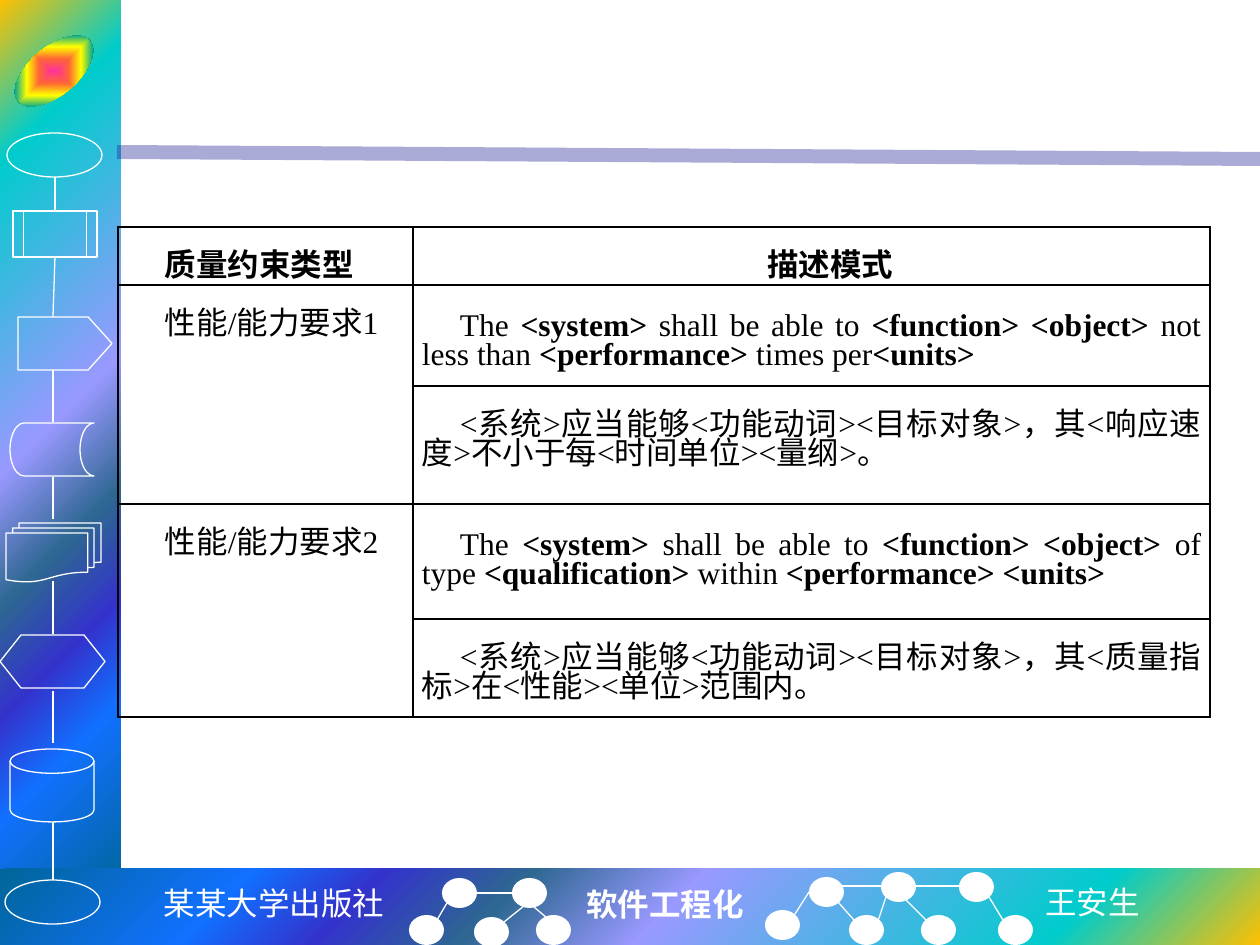
from pptx import Presentation
from pptx.dml.color import RGBColor
from pptx.enum.shapes import MSO_CONNECTOR, MSO_SHAPE
from pptx.enum.text import MSO_AUTO_SIZE, PP_ALIGN
from pptx.oxml import parse_xml
from pptx.oxml.ns import nsdecls
from pptx.util import Emu, Pt

PX = 914400 / 126
NS = nsdecls("a")
HUES = {"white": "FFFFFF", "black": "000000", "band": "262699"}
SPECTRUM = {0: "FFC000", 16: "00CCCC", 47: "9999FF", 60: "2E6792",
            71: "3333CC", 81: "1170FF", 100: "006699"}
RAINBOW = {0: "FF3399", 25: "FF6633", 50: "FFFF00", 75: "01A78F", 100: "3366FF"}
SERIF, SANS, MONO = "Times New Roman", "Noto Sans CJK SC", "DejaVu Sans Mono"


def blend(shape, stops, kind, focus):
    """Fill a shape with a path gradient around a focus (l, t, r, b in percent)."""
    marks = "".join(f'<a:gs pos="{p * 1000}"><a:srgbClr val="{c}"/></a:gs>'
                    for p, c in stops.items())
    sides = " ".join(f'{k}="{v * 1000}"' for k, v in zip("ltrb", focus))
    grad = parse_xml(f'<a:gradFill {NS} rotWithShape="1"><a:gsLst>{marks}</a:gsLst>'
                     f'<a:path path="{kind}"><a:fillToRect {sides}/></a:path></a:gradFill>')
    shape._element.spPr.find(".//{*}prstGeom").addnext(grad)
    shape.line.fill.background()
    shape.shadow.inherit = False


def add_run(para, text, face, hue, bold=False):
    run = para.add_run()
    run.text = text
    run.font.name, run.font.size, run.font.bold = face, Pt(18), bold
    run.font.color.rgb = RGBColor.from_string(HUES[hue])
    run._r.get_or_add_rPr().append(parse_xml(f'<a:ea {NS} typeface="{SANS}"/>'))


deck = Presentation()
deck.slide_width, deck.slide_height = Emu(9144000), Emu(6858000)
slide = deck.slides.add_slide(deck.slide_layouts[6])
shapes = slide.shapes
white = RGBColor.from_string(HUES["white"])

# Side bar and foot bar
for box, focus in [((0, 0, 121, 893), (0, 0, 100, 100)),
                   ((0, 869, 1260, 76), (100, 100, 0, 0))]:
    bar = shapes.add_shape(MSO_SHAPE.RECTANGLE, *[Emu(int(v * PX)) for v in box])
    blend(bar, SPECTRUM, "circle", focus)

# Plain badge
badge = shapes.add_shape(MSO_SHAPE.OVAL, *[Emu(int(v * PX)) for v in (7, 47, 94, 48)])
blend(badge, RAINBOW, "shape", (50, 50, 50, 50))
badge.rotation = -40

# Flowchart outlines down the side
chain = [
    (MSO_SHAPE.OVAL, 7, 133, 95, 44),
    (MSO_SHAPE.FLOWCHART_PREDEFINED_PROCESS, 13, 211, 84, 46),
    (MSO_SHAPE.PENTAGON, 18, 317, 94, 53),
    (MSO_SHAPE.FLOWCHART_STORED_DATA, 10, 423, 84, 53),
    (MSO_SHAPE.FLOWCHART_MULTIDOCUMENT, 6, 523, 95, 59),
    (MSO_SHAPE.FLOWCHART_PREPARATION, 0, 635, 105, 53),
    (MSO_SHAPE.FLOWCHART_MAGNETIC_DISK, 10, 749, 84, 73),
    (MSO_SHAPE.OVAL, 5, 880, 95, 44),
]
steps = []
for kind, *box in chain:
    step = shapes.add_shape(kind, *[Emu(int(v * PX)) for v in box])
    step.fill.background()
    step.line.color.rgb = white
    step.line.width = Pt(0.75)
    step.shadow.inherit = False
    steps.append(step)
process, plate = steps[1:3]
plate.adjustments[0] = 0.45

# Graph dots in the foot bar
dots = [(442, 878), (409, 915), (474, 917), (512, 878), (536, 915),
        (765, 910), (809, 877), (849, 915), (881, 872), (921, 915),
        (959, 872), (998, 915)]
for x, y in dots:
    dot = shapes.add_shape(MSO_SHAPE.OVAL, *[Emu(int(v * PX)) for v in (x, y, 35, 30)])
    dot.fill.solid()
    dot.fill.fore_color.rgb = white
    dot.line.fill.background()
    dot.shadow.inherit = False

# Lines: title band, flowchart links, graph edges
ends = [
    (117, 152, 1260, 159),
    (55, 177, 55, 211), (55, 257, 53, 317), (53, 370, 53, 422),
    (53, 477, 53, 519), (53, 581, 53, 634), (53, 691, 53, 743), (53, 822, 53, 880),
    (437, 920, 447, 903), (504, 922, 524, 906), (512, 893, 477, 893),
    (547, 918, 534, 907), (854, 920, 838, 902), (926, 920, 901, 895),
    (1003, 920, 989, 897), (878, 921, 886, 897), (915, 886, 959, 886),
    (795, 914, 809, 892), (842, 886, 886, 886),
]
lines = []
for pts in ends:
    line = shapes.add_connector(MSO_CONNECTOR.STRAIGHT, *[Emu(int(v * PX)) for v in pts])
    line.line.color.rgb = white
    line.line.width = Pt(0.75)
    line._element.spPr.append(parse_xml(f"<a:effectLst {NS}/>"))
    lines.append(line)
band, above, below = lines[:3]
above.end_connect(process, 0)
below.begin_connect(process, 2)
band.line.color.rgb = RGBColor.from_string(HUES["band"])
band.line.width = Pt(8)
tint = band._element.spPr.find(".//{*}srgbClr")
tint.append(parse_xml(f'<a:alpha {NS} val="39000"/>'))

# Foot texts
foot = [((150, 878, 248, 50), "某某大学出版社", MONO, False, PP_ALIGN.CENTER),
        ((574, 879, 184, 50), "软件工程化", SERIF, True, PP_ALIGN.LEFT),
        ((1033, 877, 121, 50), "王安生", SANS, False, PP_ALIGN.LEFT)]
for box, text, face, bold, align in foot:
    frame = shapes.add_textbox(*[Emu(int(v * PX)) for v in box]).text_frame
    frame.word_wrap = False
    frame.auto_size = MSO_AUTO_SIZE.SHAPE_TO_FIT_TEXT
    frame.paragraphs[0].alignment = align
    add_run(frame.paragraphs[0], text, face, "white", bold)

# Table: each cell is a list of runs, those in angle brackets bold if marked
cells = {
    (0, 0): [("质量约束类型", True)],
    (0, 1): [("描述模式", True)],
    (1, 0): [("性能/能力要求1", False)],
    (1, 1): [("The ", False), ("<system>", True), (" shall be able to", False),
             (" <function> <object>", True), (" not less than ", False),
             ("<performance>", True), (" times per", False), ("<units>", True)],
    (2, 1): [("<系统>应当能够<功能动词><目标对象>，其<响应速度>不小于每<时间单位><量纲>。", False)],
    (3, 0): [("性能/能力要求2", False)],
    (3, 1): [("The ", False), ("<system> ", True), ("shall be able to ", False),
             ("<function> <object> ", True), ("of type ", False),
             ("<qualification>", True), (" within ", False),
             ("<performance> <units>", True)],
    (4, 1): [("<系统>应当能够<功能动词><目标对象>，其<质量指标>在<性能><单位>范围内。", False)],
}
widths, heights = (295, 797), (58, 101, 118, 115, 98)
spot = (118, 227, sum(widths), sum(heights))
table = shapes.add_table(5, 2, *[Emu(int(v * PX)) for v in spot]).table
table.first_row = table.horz_banding = False
for col, w in zip(table.columns, widths):
    col.width = Emu(int(w * PX))
for row, h in zip(table.rows, heights):
    row.height = Emu(int(h * PX))
for r in (1, 3):
    table.cell(r, 0).merge(table.cell(r + 1, 0))

for r in range(5):
    for c in range(2):
        cell = table.cell(r, c)
        for side in "LRTB":
            cell._tc.get_or_add_tcPr().append(parse_xml(
                f'<a:ln{side} {NS} w="12700"><a:solidFill><a:srgbClr val="{HUES["black"]}"/>'
                f'</a:solidFill></a:ln{side}>'))
        cell.fill.background()
        cell.margin_left = cell.margin_right = Emu(int(9 * PX))
        cell.margin_top, cell.margin_bottom = Emu(int(29 * PX)), 0
        para = cell.text_frame.paragraphs[0]
        para.alignment = PP_ALIGN.CENTER if (r, c) == (0, 1) else PP_ALIGN.JUSTIFY
        para.line_spacing = Pt(16.6)
        para._p.get_or_add_pPr().set("indent", str(int(38 * PX)))
        for text, bold in cells.get((r, c), []):
            add_run(para, text, SERIF, "black", bold)

deck.save("out.pptx")
